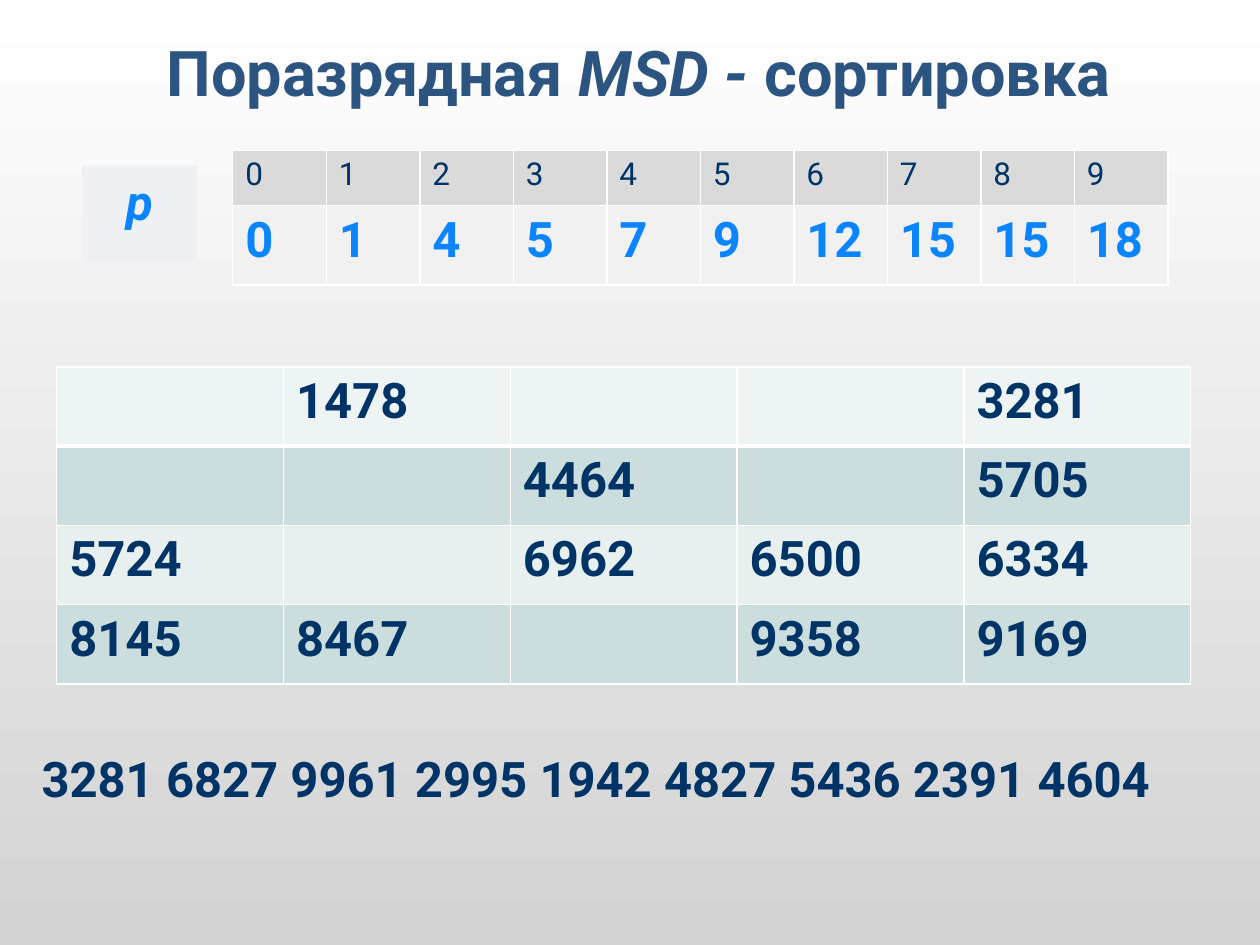
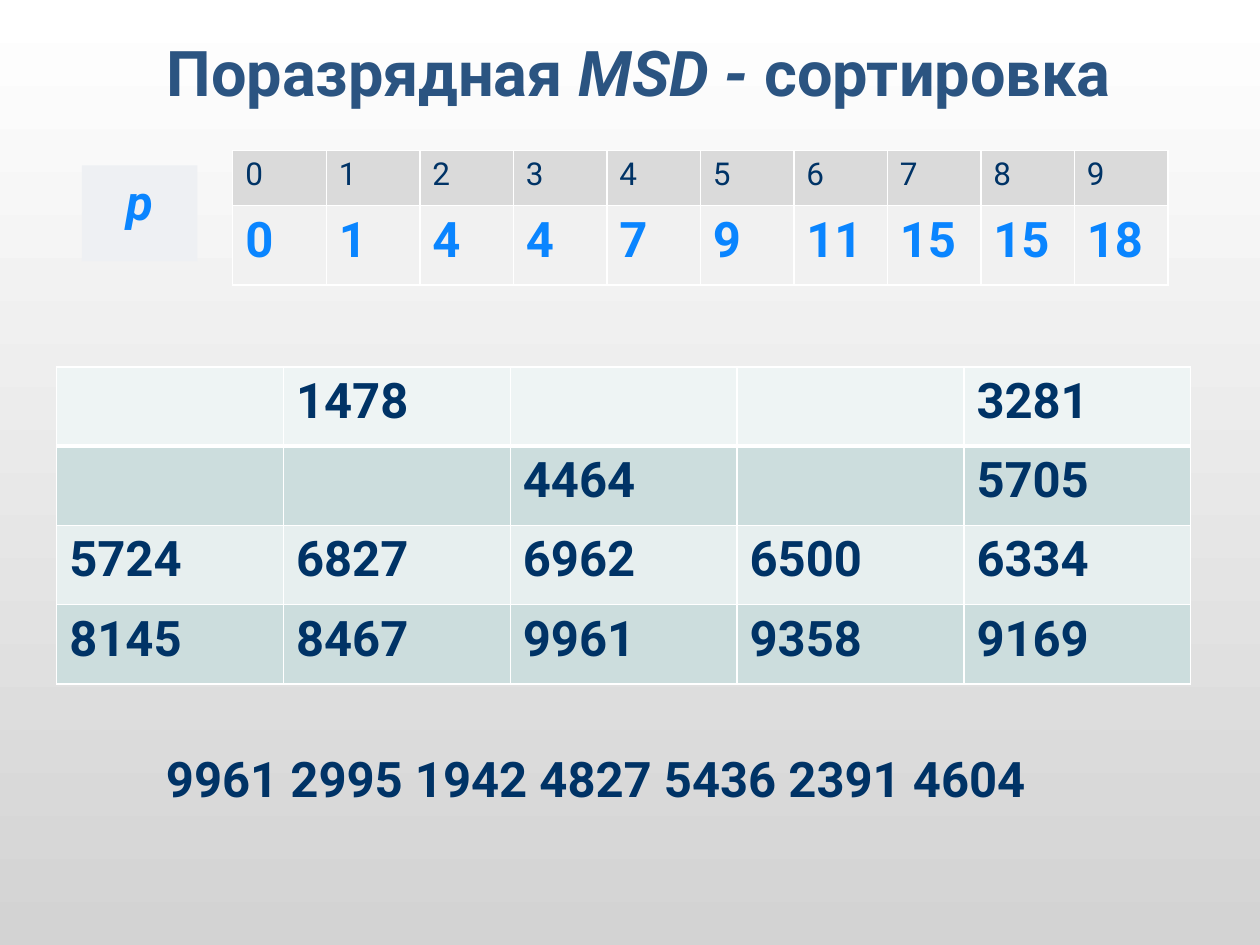
from lxml import etree
from pptx import Presentation
from pptx.dml.color import RGBColor
from pptx.enum.shapes import MSO_SHAPE
from pptx.enum.text import MSO_ANCHOR, MSO_AUTO_SIZE, PP_ALIGN
from pptx.oxml.ns import qn
from pptx.util import Pt

FONT = "Roboto"
NAVY, BLUE, TITLE, WHITE = "003366", "0A85FF", "2B5481", "FFFFFF"
POINTER_FILLS = ["DADADA", "F1F1F1"]
BUCKET_FILLS = ["EEF4F4", "CCDDDD", "E7EFEF", "CCDDDD"]
THIN, THICK = 0.96, 3

STEPS = [
    {
        "pointers": ["0", "1", "4", "5", "7", "9", "12", "15", "15", "18"],
        "buckets": [
            ["", "1478", "", "", "3281"],
            ["", "", "4464", "", "5705"],
            ["5724", "", "6962", "6500", "6334"],
            ["8145", "8467", "", "9358", "9169"],
        ],
        "queue": "3281 6827 9961 2995 1942 4827 5436 2391 4604 ",
    },
    {
        "pointers": ["0", "1", "4", "4", "7", "9", "11", "15", "15", "18"],
        "buckets": [
            ["", "1478", "", "", "3281"],
            ["", "", "4464", "", "5705"],
            ["5724", "6827", "6962", "6500", "6334"],
            ["8145", "8467", "9961", "9358", "9169"],
        ],
        "queue": "9961 2995 1942 4827 5436 2391 4604 ",
    },
]


def paint(color, value):
    color.rgb = RGBColor.from_string(value)


def add_run(p, text, size, color, bold=True, italic=False):
    r = p.add_run()
    r.text = text
    r.font.name = FONT
    r.font.size = Pt(size)
    r.font.bold = bold
    r.font.italic = italic
    paint(r.font.color, color)


prs = Presentation()
prs.slide_width, prs.slide_height = Pt(720), Pt(540)
bg = prs.slide_master.background.fill
bg.gradient()
bg.gradient_angle = 270
for stop, value in zip(bg.gradient_stops, [WHITE, "D3D3D3"]):
    paint(stop.color, value)

for step in STEPS:
    s = prs.slides.add_slide(prs.slide_layouts[5])

    title = s.shapes.title
    title.left, title.top, title.width, title.height = Pt(41), Pt(23), Pt(648), Pt(36)
    tf = title.text_frame
    tf.auto_size = MSO_AUTO_SIZE.NONE
    tf.vertical_anchor = MSO_ANCHOR.MIDDLE
    p = tf.paragraphs[0]
    p.alignment = PP_ALIGN.CENTER
    add_run(p, "Поразрядная ", 36, TITLE)
    add_run(p, "MSD - ", 36, TITLE, italic=True)
    add_run(p, "сортировка", 36, TITLE)

    label = s.shapes.add_shape(MSO_SHAPE.RECTANGLE, Pt(46.8), Pt(94.5), Pt(66), Pt(54.7))
    label.shadow.inherit = False
    label.fill.solid()
    paint(label.fill.fore_color, "EEF0F3")
    label.line.fill.background()
    tf = label.text_frame
    tf.vertical_anchor = MSO_ANCHOR.TOP
    p = tf.paragraphs[0]
    p.alignment = PP_ALIGN.CENTER
    p.space_before = Pt(5.6)
    add_run(p, "p", 28, BLUE, italic=True)

    digits = [str(d) for d in range(10)]
    tables = [
        (step["buckets"], 32.4, 209.6, 129.6, [45.3] * 4, BUCKET_FILLS,
         [(28, NAVY, True)] * 4, [THIN, THICK, THIN, THIN, THIN]),
        ([digits, step["pointers"]], 133, 86, 53.46, [31.5, 45.3], POINTER_FILLS,
         [(18, NAVY, False), (28, BLUE, True)], [THIN] * 3),
    ]
    for rows, left, top, col_width, heights, fills, styles, rules in tables:
        n = len(rows[0])
        table = s.shapes.add_table(len(rows), n, Pt(left), Pt(top),
                                   Pt(col_width * n), Pt(sum(heights))).table
        for col in table.columns:
            col.width = Pt(col_width)
        for i, values in enumerate(rows):
            table.rows[i].height = Pt(heights[i])
            for j, value in enumerate(values):
                cell = table.cell(i, j)
                tcPr = cell._tc.get_or_add_tcPr()
                widths = {"lnL": THIN, "lnR": THIN, "lnT": rules[i], "lnB": rules[i + 1]}
                for side, width in widths.items():
                    ln = etree.SubElement(tcPr, qn(f"a:{side}"), w=str(int(Pt(width))))
                    solid = etree.SubElement(ln, qn("a:solidFill"))
                    etree.SubElement(solid, qn("a:srgbClr"), val=WHITE)
                cell.fill.solid()
                paint(cell.fill.fore_color, fills[i])
                if value:
                    add_run(cell.text_frame.paragraphs[0], value, *styles[i])

    queue = s.shapes.add_textbox(Pt(0), Pt(424), Pt(687.6), Pt(41))
    tf = queue.text_frame
    tf.word_wrap = True
    tf.auto_size = MSO_AUTO_SIZE.SHAPE_TO_FIT_TEXT
    p = tf.paragraphs[0]
    p.alignment = PP_ALIGN.CENTER
    p.space_before = Pt(5.6)
    add_run(p, step["queue"], 28, NAVY)

prs.save("out.pptx")
